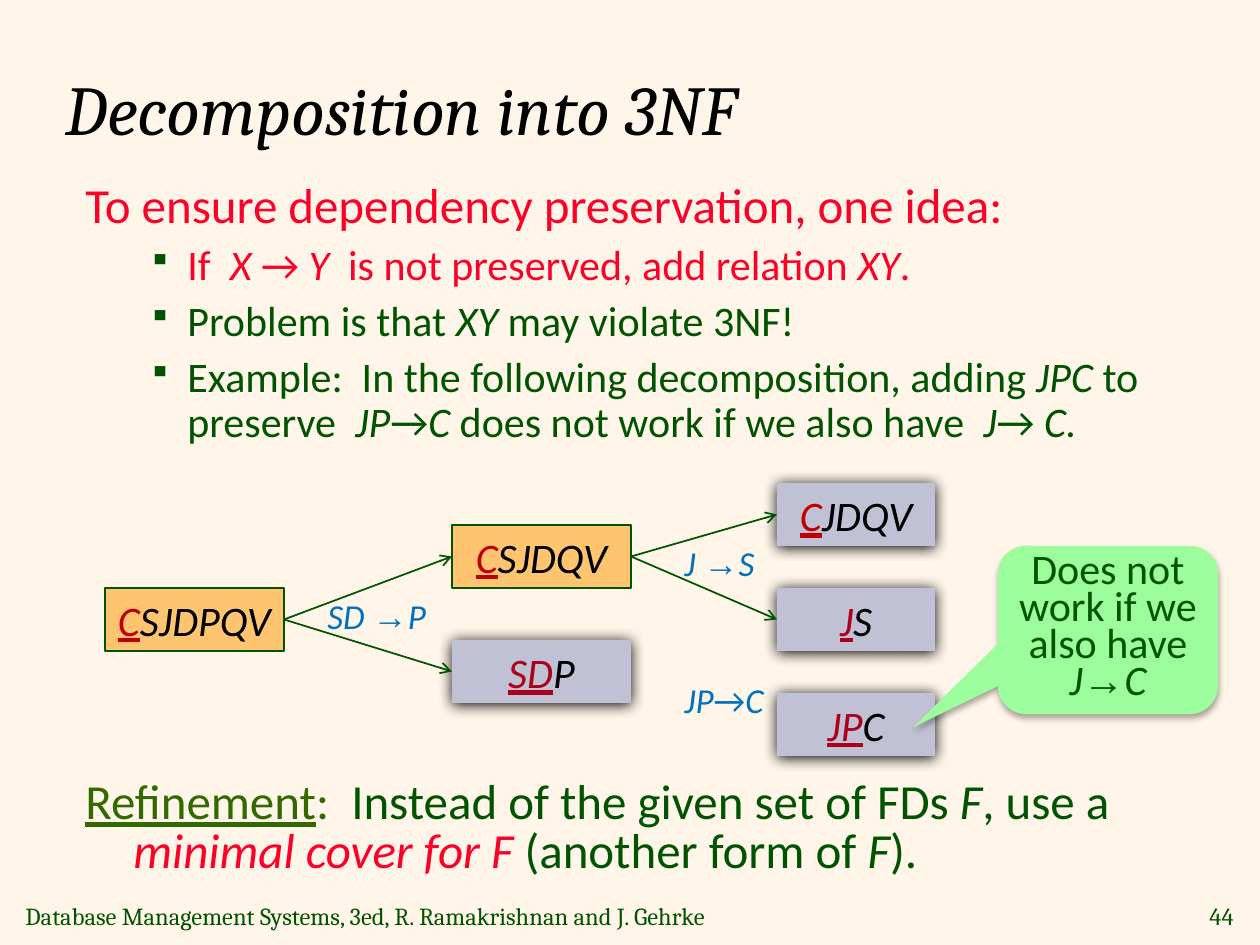
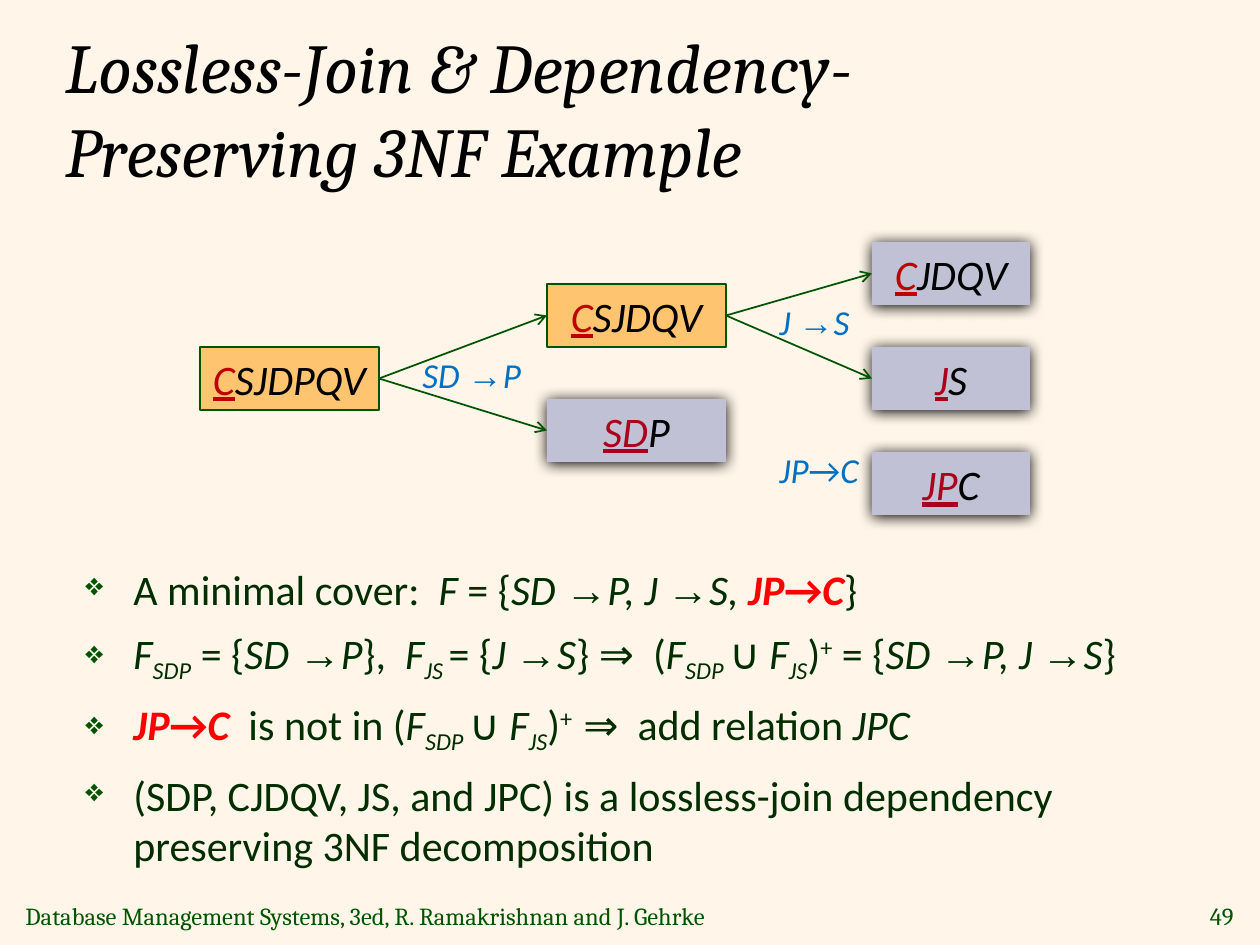
from lxml import etree
from pptx import Presentation
from pptx import util as u
from pptx.dml.color import RGBColor
from pptx.enum import shapes, text
from pptx.oxml import ns

GREEN, DARK, BLUE, BLACK = "005400", "012D01", "0070C0", "000000"
CREAM, AMBER, GREY, MINT = "FFF6E9", "FFC46F", "C1C1D5", "9BFD9B"
INKS = {"p": "FC0128", "r": "FF0000", "c": "C00000", "w": "AB011A", "g": "326A00"}
SHIFTS = {"-": "-25000", "+": "30000"}
FOOTER = "Database Management Systems, 3ed, R. Ramakrishnan and J. Gehrke"
LEFT, MID, RIGHT = text.PP_ALIGN.LEFT, text.PP_ALIGN.CENTER, text.PP_ALIGN.RIGHT
TOP, CENTER = text.MSO_ANCHOR.TOP, text.MSO_ANCHOR.MIDDLE


def px(length):
    return u.Emu(round(length * 914400 / 126))


def tint(code):
    return RGBColor.from_string(code)


def node(parent, tag, **attrs):
    return etree.SubElement(parent, ns.qn(tag), attrs)


class Deck:
    def __init__(self):
        self.file = Presentation()
        self.file.slide_width, self.file.slide_height = px(1260), px(945)
        self.slide = None

    def page(self, title, number):
        self.slide = self.file.slides.add_slide(self.file.slide_layouts[6])
        back = self.slide.background.fill
        back.solid()
        back.fore_color.rgb = tint(CREAM)
        small = dict(size=14, font="Cambria")
        self.para(self.box(13, 895, 772, 42, CENTER, False), [FOOTER], **small)
        self.para(self.box(1191, 895, 55, 42, CENTER, False), [str(number)],
                  align=RIGHT, **small)
        self.para(self.box(53, 32, 1071, 152, CENTER), ["i|" + title],
                  size=40, font="Cambria", color=BLACK)

    def box(self, x, y, w, h, anchor=TOP, wrap=True):
        frame = self.slide.shapes.add_textbox(px(x), px(y), px(w), px(h)).text_frame
        frame.word_wrap, frame.vertical_anchor = wrap, anchor
        return frame

    def para(self, frame, parts, size=24, font="Calibri", color=GREEN, align=LEFT,
             margin=0, indent=0, before=0, after=0, line=None, bullet=None):
        para = frame.paragraphs[0]
        if para.runs:
            para = frame.add_paragraph()
        para.alignment = align
        para.space_before, para.space_after = u.Pt(before), u.Pt(after)
        if line:
            para.line_spacing = u.Pt(line)
        props = para._p.get_or_add_pPr()
        props.set("marL", str(px(margin)))
        props.set("indent", str(px(indent)))
        if bullet:
            node(node(props, "a:buClr"), "a:srgbClr", val=GREEN)
            node(props, "a:buSzPct", val="75000")
            node(props, "a:buChar", char=bullet)
        for part in parts:
            marks, _, words = part.rpartition("|")
            run = para.add_run()
            run.text = words
            face = run.font
            face.size = u.Pt(size)
            face.name = "Times New Roman" if "t" in marks else font
            face.italic, face.bold = "i" in marks, "b" in marks
            face.underline = "u" in marks
            face.color.rgb = tint(color)
            for mark in marks:
                if mark in INKS:
                    face.color.rgb = tint(INKS[mark])
                if mark in SHIFTS:
                    run._r.get_or_add_rPr().set("baseline", SHIFTS[mark])

    def shape(self, kind, x, y, w, h, fill, edge=None, shade=None):
        item = self.slide.shapes.add_shape(kind, px(x), px(y), px(w), px(h))
        item.shadow.inherit = False
        item.fill.solid()
        item.fill.fore_color.rgb = tint(fill)
        if edge:
            item.line.color.rgb, item.line.width = tint(edge), u.Pt(1)
        else:
            item.line.fill.background()
        if shade:
            blur, dist, alpha = shade
            effects = item._element.spPr.find(ns.qn("a:effectLst"))
            outer = node(effects, "a:outerShdw", blurRad=str(u.Pt(blur)),
                         dist=str(u.Pt(dist)), dir="5400000", algn="ctr", rotWithShape="0")
            node(node(outer, "a:srgbClr", val=BLACK), "a:alpha", val=str(alpha * 1000))
        item.text_frame.vertical_anchor = CENTER
        return item

    def table(self, x, y, w, key, rest, final=True):
        look = dict(fill=GREY, shade=(8.5, 1, 100)) if final else dict(fill=AMBER, edge=GREEN)
        item = self.shape(shapes.MSO_SHAPE.RECTANGLE, x, y, w, 63, **look)
        item.text_frame.word_wrap = False
        self.para(item.text_frame, [key, "i|" + rest], color=BLACK, align=MID)
        return item

    def arrow(self, start, end):
        line = self.slide.shapes.add_connector(shapes.MSO_CONNECTOR.STRAIGHT, 0, 0, 0, 0)
        line.begin_connect(start, 3)
        line.end_connect(end, 1)
        line.line.color.rgb, line.line.width = tint(GREEN), u.Pt(1)
        node(line.line._get_or_add_ln(), "a:tailEnd", type="arrow")
        node(line._element.spPr, "a:effectLst")

    def label(self, x, y, w, parts):
        self.para(self.box(x, y, w, 55, wrap=False), parts, size=20, color=BLUE)

    def tree(self, x, y, drop):
        root = self.table(x, y, 179, "icu|C", "SJDPQV", False)
        rest = self.table(x + 347, y - 63, 179, "icu|C", "SJDQV", False)
        sdp = self.table(x + 347, y + 52, 179, "iwu|SD", "P")
        last = [self.table(x + 672, y + step, 158, key, tail) for step, key, tail in (
            (-105, "icu|C", "JDQV"), (0, "iwu|J", "S"), (105, "iwu|JP", "C"))]
        for start, end in ((root, rest), (root, sdp), (rest, last[0]), (rest, last[1])):
            self.arrow(start, end)
        self.label(x + 210, y, 125, ["i|SD ", "it|→", "i|P"])
        self.label(x + 567, y - 53, 96, ["i|J ", "it|→", "i|S"])
        self.label(x + 567, y + drop, 106, ["i|JP", "→", "i|C"])

    def callout(self, x, y, w, h, parts):
        item = self.shape(shapes.MSO_SHAPE.ROUNDED_RECTANGULAR_CALLOUT, x, y, w, h,
                          MINT, shade=(3.5, 2.2, 32))
        for spot, value in enumerate((-0.885, 0.578, 0.167)):
            item.adjustments[spot] = value
        frame = item.text_frame
        frame.word_wrap = True
        frame.margin_left = frame.margin_right = px(6)
        frame.margin_top = frame.margin_bottom = px(6)
        self.para(frame, parts, align=MID, line=21)


def idea(deck):
    deck.page("Decomposition into 3NF", 44)
    body = deck.box(73, 168, 1124, 300)
    deck.para(body, ["p|To ensure dependency preservation, one idea:"], size=28,
              margin=48, indent=-48, before=2, after=3)
    point = dict(margin=102, indent=-39, bullet="▪")
    deck.para(body, ["p|If  ", "ip|X ", "p|→ ", "ip|Y", "p|  is not preserved, add relation ",
                     "ip|XY", "p|."], after=6, **point)
    deck.para(body, ["Problem is that ", "i|XY", " may violate 3NF!"],
              line=26, after=6, **point)
    deck.para(body, ["Example:  In the following decomposition, adding", "i| JPC ",
                     "to preserve  ", "i|JP", "→", "i|C",
                     " does not work if we also have  ", "i|J", "→ ", "i|C."],
              line=26, **point)
    deck.para(deck.box(73, 774, 1124, 112),
              ["gu|Refinement", "g|:  ", "Instead of the given set of FDs ", "i|F",
               ", use a ", "ip|minimal cover for F", " (another form of ", "i|F", ")."],
              size=28, margin=48, indent=-48, line=28)
    deck.tree(105, 588, 84)
    deck.callout(998, 546, 220, 168,
                 ["Does not work if we also have ", "i|J", "t|→", "i|C"])


def example(deck):
    deck.page("Lossless-Join & Dependency-Preserving 3NF Example", 49)
    sd, js, jp = ["i|SD ", "it|→", "i|P"], ["i|J ", "it|→", "i|S"], ["ibr|JP", "br|→"]
    pair = sd + ["i|, "] + js
    union = ["(", "i|F", "i-|SDP ", "∪ ", "i|F", "i-|JS", ")"]
    points = (
        ["A minimal cover:  ", "i|F", " = {", *pair, "i|, ", *jp, "ibr|C", "}"],
        ["i|F", "i-|SDP", " = {", *sd, "},  ", "i|F", "i-|JS ", "= {", *js, "} ⇒  ",
         *union, "+|+", " = {", *pair, "}"],
        [*jp, "ibr|C  ", "is not in ", *union, "+|+  ", "⇒  add relation ", "i|JPC"],
        ["(SDP, CJDQV, JS, and JPC) is a lossless-join dependency "
         "preserving 3NF decomposition"],
    )
    body = deck.box(73, 557, 1113, 325)
    for spot, parts in enumerate(points):
        deck.para(body, parts, color=DARK, margin=48, indent=-48,
                  before=4.8 if spot else 0, after=3, bullet="❖")
    deck.tree(200, 347, 95)


def main():
    deck = Deck()
    idea(deck)
    example(deck)
    deck.file.save("out.pptx")


if __name__ == "__main__":
    main()
